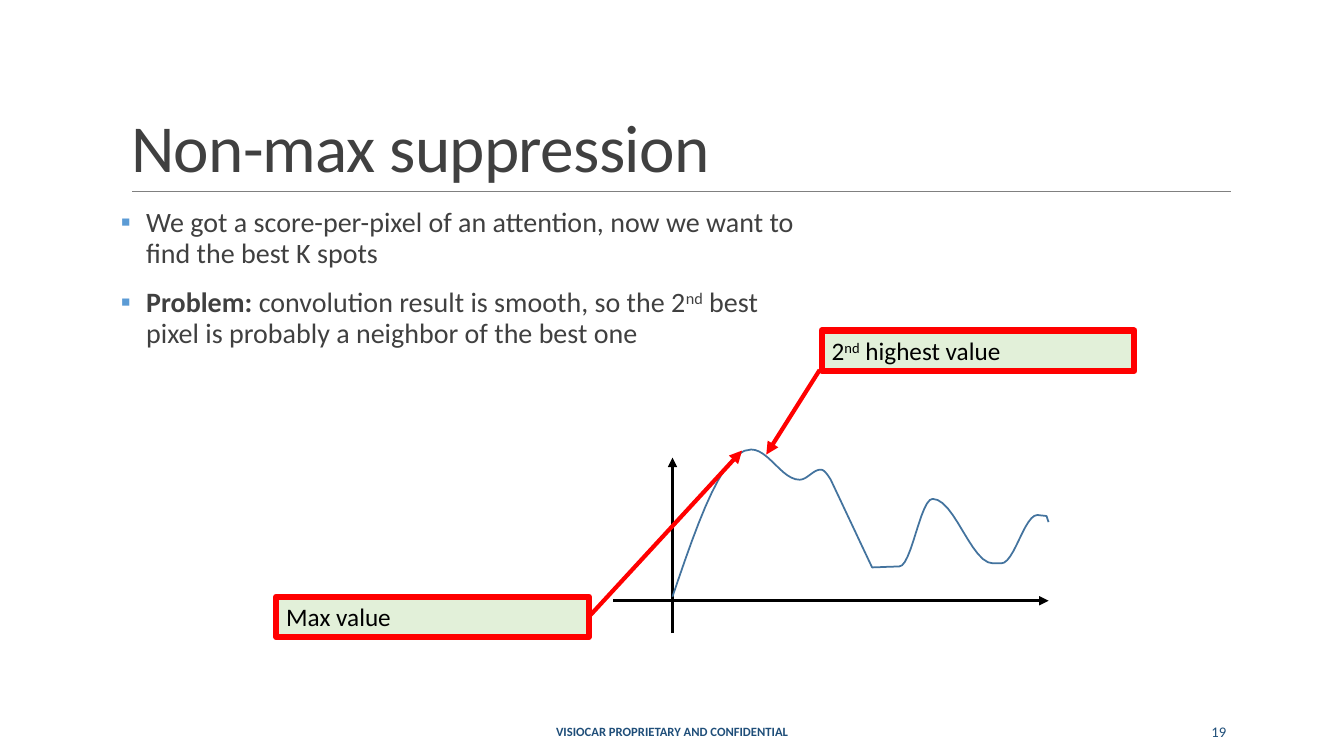
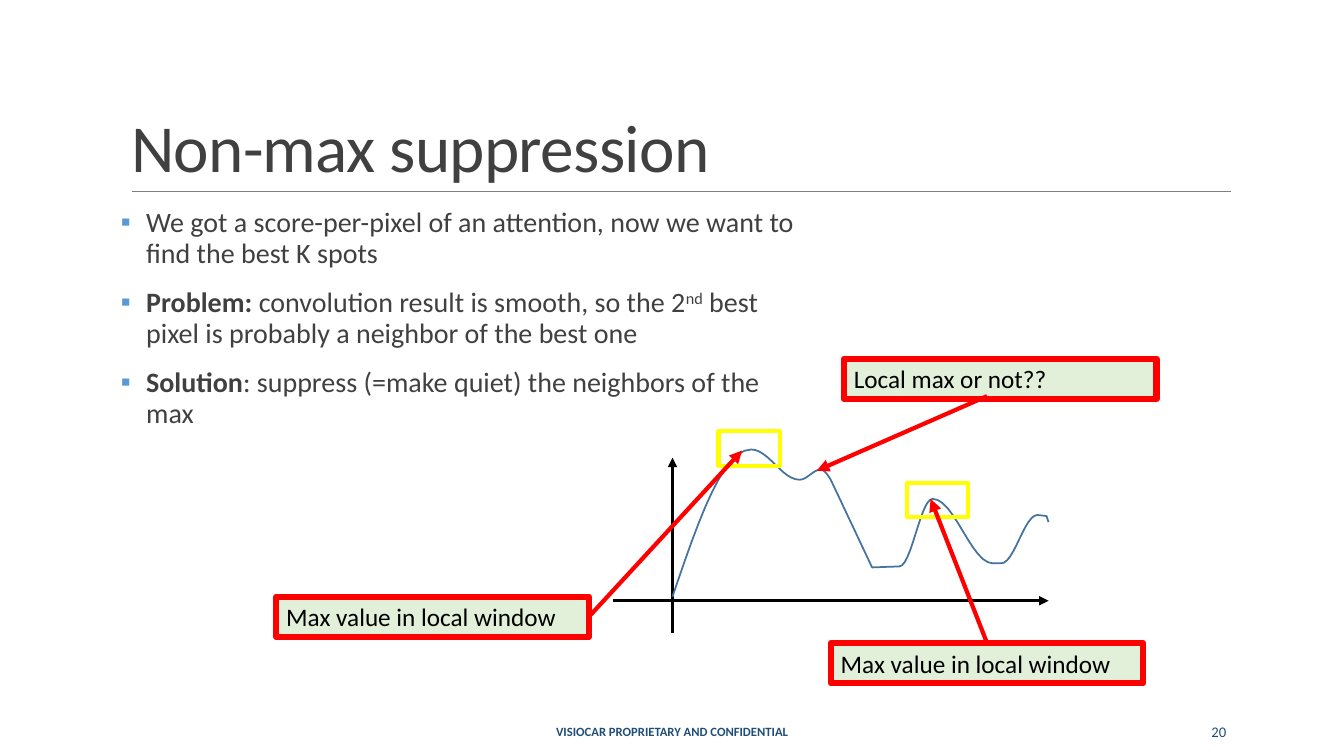
import math
from dataclasses import dataclass

from lxml import etree
from pptx import Presentation
from pptx.dml.color import RGBColor
from pptx.enum import shapes, text
from pptx.oxml import ns
from pptx.util import Inches, Pt


@dataclass(frozen=True)
class Theme:
    """Colours, font and type sizes shared by the slides."""
    font: str = "Calibri"
    ink: str = "404040"
    black: str = "000000"
    footer: str = "1F4E79"
    bullet: str = "5B9BD5"
    rule: str = "808080"
    curve: str = "43739E"
    alert: str = "FF0000"
    window: str = "FFFF00"
    callout: str = "E2F0D9"
    title_size: float = 48
    body_size: float = 20
    callout_size: float = 18
    footer_size: float = 9
    number_size: float = 10.5


@dataclass(frozen=True)
class Callout:
    """A label box and the curve point its arrow aims at."""
    left: float
    top: float
    spans: list
    target: tuple
    site: int | None = None
    start: tuple = (0, 0)


THEME = Theme()
TITLE = "Non-max suppression"
FOOTER = "VISIOCAR PROPRIETARY AND CONFIDENTIAL"
TITLE_BOX = (1.2, 0.31, 11, 1.59)
BODY_BOX = (1.2, 2.02, 6.77, 3.31)
FOOTER_BOX = (4.03, 7.06, 5.27, 0.4)
NUMBER_BOX = (10.83, 7.06, 1.43, 0.4)
PLOT_BOX = (6.08, 4.54, 4.32, 1.74)
PLOT_ORIGIN = (0.59, 1.42)
CALLOUT_SIZE = (3.1, 0.4)
WINDOW_SIZE = (0.61, 0.34)

MAX_PEAK = (0.69, 1.49)
NEIGHBOR = (0.93, 1.45)
BUMP = (1.43, 1.29)
SECOND_PEAK = (2.56, 1.01)
WINDOW_CENTERS = [(0.76, 1.51), (2.63, 1)]

EASINGS = {
    "straight": lambda t: t,
    "level off": lambda t: math.sin(t * math.pi / 2),
    "steepen": lambda t: 1 - math.cos(t * math.pi / 2),
    "sway": lambda t: (1 - math.cos(t * math.pi)) / 2,
}
CURVE_START = (0, 0.04)
CURVE_MOVES = [
    ("level off", (0.78, 1.5)),
    ("sway", (1.26, 1.2)),
    ("sway", (1.47, 1.3)),
    ("steepen", (1.57, 1.2)),
    ("straight", (1.98, 0.33)),
    ("straight", (2.25, 0.34)),
    ("sway", (2.58, 1.01)),
    ("sway", (3.18, 0.37)),
    ("straight", (3.26, 0.37)),
    ("sway", (3.62, 0.85)),
    ("straight", (3.71, 0.84)),
    ("straight", (3.73, 0.78)),
]
STEPS_PER_MOVE = 12

BULLETS = [
    [("We got a score-per-pixel of an attention, now we want to find the best K spots", "")],
    [("Problem:", "bold"), (" convolution result is smooth, so the 2", ""), ("nd", "super"),
     (" best pixel is probably a neighbor of the best one", "")],
    [("Solution", "bold"), (": suppress (=make quiet) the neighbors of the max", "")],
]


def inches(values):
    """Convert a sequence of numbers to lengths."""
    return [Inches(value) for value in values]


def plot_to_page(box, point):
    """Turn inches from the plot's origin, y upwards, into slide inches."""
    return (box[0] + PLOT_ORIGIN[0] + point[0],
            box[1] + PLOT_ORIGIN[1] - point[1])


def curve_points():
    """Trace the score curve by easing from each turning point to the next."""
    points = [CURVE_START]
    for easing, (end_x, end_y) in CURVE_MOVES:
        start_x, start_y = points[-1]
        for step in range(1, STEPS_PER_MOVE + 1):
            share = step / STEPS_PER_MOVE
            points.append((start_x + (end_x - start_x) * share,
                           start_y + (end_y - start_y) * EASINGS[easing](share)))
    return points


def style_font(font, size, color, bold=False):
    """Apply the theme font with a size and colour."""
    font.name = THEME.font
    font.size = Pt(size)
    font.color.rgb = RGBColor.from_string(color)
    font.bold = bold


def fill_spans(para, spans, size, color):
    """Write styled spans into a paragraph."""
    for words, style in spans:
        span = para.add_run()
        span.text = words
        style_font(span.font, size, color, style == "bold")
        if style == "super":
            span._r.get_or_add_rPr().set("baseline", "30000")


def set_line(line, color, width):
    """Set an outline's colour and width."""
    line.color.rgb = RGBColor.from_string(color)
    line.width = Pt(width)


def add_line(page, start, end, color, width, arrow=True):
    """Draw a straight line, with an arrowhead at its end if wanted."""
    line = page.shapes.add_connector(
        shapes.MSO_CONNECTOR.STRAIGHT, *inches([*start, *end]))
    set_line(line.line, color, width)
    if arrow:
        outline = line.line._get_or_add_ln()
        etree.SubElement(outline, ns.qn("a:tailEnd"), type="triangle")
    etree.SubElement(line._element.spPr, ns.qn("a:effectLst"))
    return line


def add_label(page, box, words, size, align, bold=False):
    """Place one line of footer text."""
    label = page.shapes.add_textbox(*inches(box))
    frame = label.text_frame
    frame.word_wrap = True
    frame.vertical_anchor = text.MSO_ANCHOR.MIDDLE
    frame.text = words
    para = frame.paragraphs[0]
    para.alignment = align
    style_font(para.runs[0].font, size, THEME.footer, bold)


def add_title(page, box):
    """Format the title placeholder and rule off its lower edge."""
    left, top, width, height = box
    title = page.shapes.title
    title.left, title.top, title.width, title.height = inches(box)
    frame = title.text_frame
    frame.text = TITLE
    frame.auto_size = text.MSO_AUTO_SIZE.NONE
    frame.vertical_anchor = text.MSO_ANCHOR.BOTTOM
    para = frame.paragraphs[0]
    para.alignment = text.PP_ALIGN.LEFT
    para.line_spacing = 0.85
    span = para.runs[0]
    style_font(span.font, THEME.title_size, THEME.ink)
    span._r.get_or_add_rPr().set("spc", "-50")
    rule_top = top + height
    add_line(page, (left + 0.11, rule_top), (left + width + 0.01, rule_top),
             THEME.rule, 0.5, arrow=False)


def add_bullet(para):
    """Give a paragraph a coloured square bullet with a hanging indent."""
    props = para._p.get_or_add_pPr()
    props.set("marL", str(Inches(0.25)))
    props.set("indent", str(-Inches(0.25)))
    color = etree.SubElement(props, ns.qn("a:buClr"))
    etree.SubElement(color, ns.qn("a:srgbClr"), val=THEME.bullet)
    etree.SubElement(props, ns.qn("a:buFont"), typeface=THEME.font)
    etree.SubElement(props, ns.qn("a:buChar"), char="▪")


def add_body(page, box, bullets):
    """Place the bulleted text."""
    frame = page.shapes.add_textbox(*inches(box)).text_frame
    frame.word_wrap = True
    frame.margin_left = frame.margin_right = 0
    for index, spans in enumerate(bullets):
        para = frame.add_paragraph() if index else frame.paragraphs[0]
        add_bullet(para)
        para.line_spacing = 0.9
        para.space_before = Pt(12 if index else 0)
        para.space_after = Pt(2)
        fill_spans(para, spans, THEME.body_size, THEME.ink)


def add_plot(page, box):
    """Draw the axes and the score curve."""
    left, top, width, height = box
    origin_x, origin_y = plot_to_page(box, (0, 0))
    add_line(page, (left, origin_y), (left + width, origin_y), THEME.black, 2.25)
    add_line(page, (origin_x, top + height), (origin_x, top), THEME.black, 2.25)
    points = [inches(plot_to_page(box, point)) for point in curve_points()]
    builder = page.shapes.build_freeform(*points[0])
    builder.add_line_segments(points[1:], close=False)
    curve = builder.convert_to_shape()
    curve.shadow.inherit = False
    curve.fill.background()
    set_line(curve.line, THEME.curve, 1.25)


def add_window(page, plot_box, center):
    """Frame a local window around a curve point."""
    x, y = plot_to_page(plot_box, center)
    width, height = WINDOW_SIZE
    window = page.shapes.add_shape(
        shapes.MSO_SHAPE.RECTANGLE,
        *inches([x - width / 2, y - height / 2, width, height]))
    window.shadow.inherit = False
    window.fill.background()
    set_line(window.line, THEME.window, 3)


def add_callout(page, plot_box, callout):
    """Draw a label box and its arrow to the curve."""
    label = page.shapes.add_textbox(
        *inches([callout.left, callout.top, *CALLOUT_SIZE]))
    label.fill.solid()
    label.fill.fore_color.rgb = RGBColor.from_string(THEME.callout)
    set_line(label.line, THEME.alert, 4.5)
    frame = label.text_frame
    frame.word_wrap = True
    frame.auto_size = text.MSO_AUTO_SIZE.SHAPE_TO_FIT_TEXT
    fill_spans(frame.paragraphs[0], callout.spans, THEME.callout_size, THEME.black)
    start = (callout.left + callout.start[0], callout.top + callout.start[1])
    end = plot_to_page(plot_box, callout.target)
    arrow = add_line(page, start, end, THEME.alert, 3)
    if callout.site is not None:
        arrow.begin_connect(label, callout.site)


def add_page(deck, number, bullets, callouts, windows=()):
    """Build one slide of the suppression sequence."""
    page = deck.slides.add_slide(deck.slide_layouts[5])
    add_title(page, TITLE_BOX)
    add_label(page, FOOTER_BOX, FOOTER, THEME.footer_size, text.PP_ALIGN.CENTER, True)
    add_label(page, NUMBER_BOX, str(number), THEME.number_size, text.PP_ALIGN.RIGHT)
    add_body(page, BODY_BOX, bullets)
    add_plot(page, PLOT_BOX)
    for center in windows:
        add_window(page, PLOT_BOX, center)
    for callout in callouts:
        add_callout(page, PLOT_BOX, callout)


def main():
    """Build and save the deck."""
    deck = Presentation()
    deck.slide_width, deck.slide_height = Inches(13.33), Inches(7.5)
    add_page(deck, 19, BULLETS[:2], [
        Callout(2.74, 5.92, [("Max value", "")], MAX_PEAK, site=3),
        Callout(8.15, 3.28, [("2", ""), ("nd", "super"), (" highest value", "")],
                NEIGHBOR, start=(-0.02, 0.39)),
    ])
    local_max = [("Max value in local window", "")]
    add_page(deck, 20, BULLETS, [
        Callout(2.74, 5.92, local_max, MAX_PEAK, site=3),
        Callout(8.24, 6.38, local_max, SECOND_PEAK, site=0),
        Callout(8.37, 3.56, [("Local max or not??", "")], BUMP, start=(1.42, 0.37)),
    ], WINDOW_CENTERS)
    deck.save("out.pptx")


if __name__ == "__main__":
    main()
